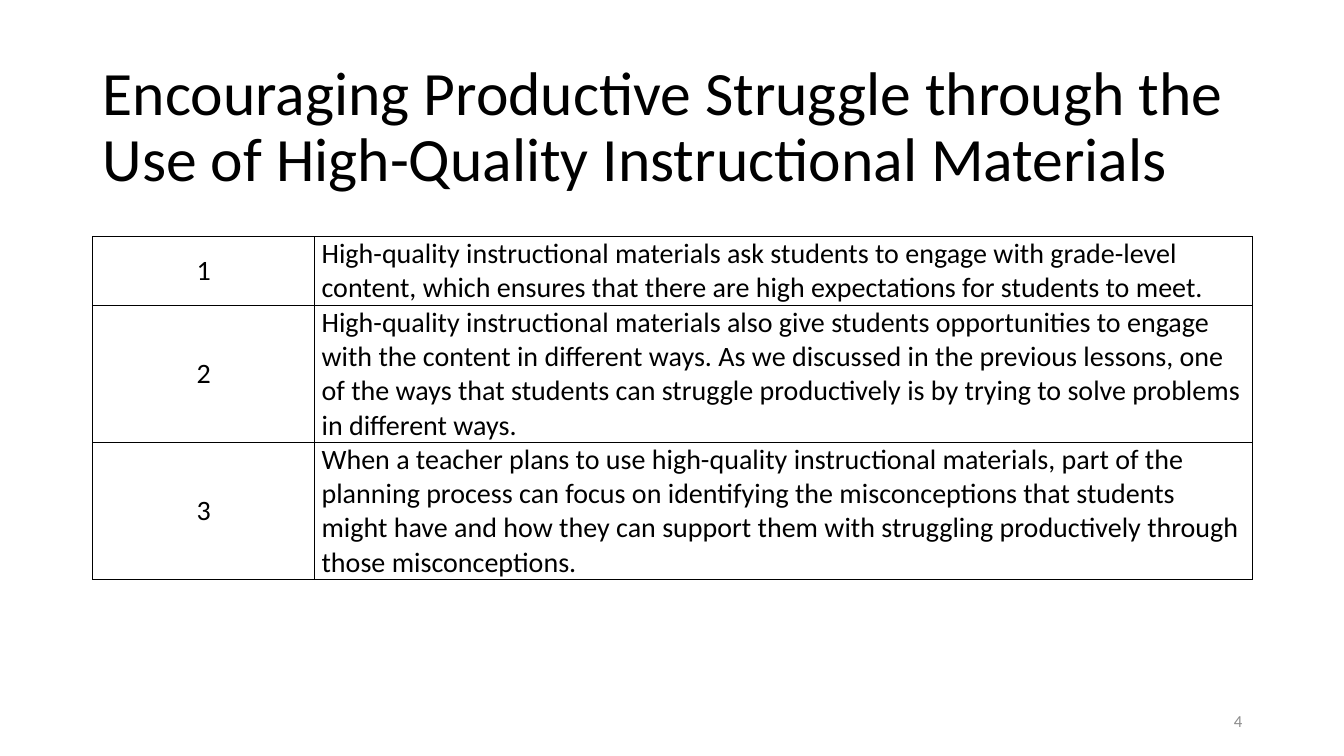
from lxml import etree
from pptx import Presentation
from pptx.dml.color import RGBColor
from pptx.enum import text
from pptx.oxml import ns
from pptx.util import Inches, Pt

COLORS = {"ink": "000000", "page_number": "8C8C8C"}
FONT = "Calibri"
TITLE = "Encouraging Productive Struggle through the Use of High-Quality Instructional Materials"
STATEMENTS = [
    "High-quality instructional materials ask students to engage with grade-level content, "
    "which ensures that there are high expectations for students to meet.",
    "High-quality instructional materials also give students opportunities to engage with the "
    "content in different ways. As we discussed in the previous lessons, one of the ways that "
    "students can struggle productively is by trying to solve problems in different ways.",
    "When a teacher plans to use high-quality instructional materials, part of the planning "
    "process can focus on identifying the misconceptions that students might have and how they "
    "can support them with struggling productively through those misconceptions.",
]
ROW_HEIGHTS = [0.68, 1.36, 1.36]
NUMBER_WIDTH = 2.2


def write_text(frame, content, size, color="ink", align=text.PP_ALIGN.LEFT, line_spacing=1.0):
    frame.word_wrap = True
    paragraph = frame.paragraphs[0]
    paragraph.alignment = align
    paragraph.line_spacing = line_spacing
    paragraph.space_before = Pt(0)
    run = paragraph.add_run()
    run.text = content
    run.font.name = FONT
    run.font.size = Pt(size)
    run.font.color.rgb = RGBColor.from_string(COLORS[color])


def add_title(slide, left, top, width, height):
    title = slide.shapes.title
    title.left, title.top = Inches(left), Inches(top)
    title.width, title.height = Inches(width), Inches(height)
    frame = title.text_frame
    frame.auto_size = text.MSO_AUTO_SIZE.NONE
    frame.vertical_anchor = text.MSO_ANCHOR.MIDDLE
    write_text(frame, TITLE, 44, line_spacing=0.9)


def add_borders(cell):
    properties = cell._tc.get_or_add_tcPr()
    for position, side in enumerate(("lnL", "lnR", "lnT", "lnB")):
        line = etree.Element(ns.qn(f"a:{side}"), w=str(Pt(1)))
        fill = etree.SubElement(line, ns.qn("a:solidFill"))
        etree.SubElement(fill, ns.qn("a:srgbClr"), val=COLORS["ink"])
        properties.insert(position, line)


def format_cell(cell, content, align, anchor):
    cell.fill.background()
    cell.margin_left = cell.margin_right = Inches(0.07)
    cell.margin_top = cell.margin_bottom = 0
    cell.vertical_anchor = anchor
    write_text(cell.text_frame, content, 20, align=align)
    add_borders(cell)


def add_statements(slide, left, top, width):
    table = slide.shapes.add_table(
        len(STATEMENTS), 2, Inches(left), Inches(top), Inches(width), Inches(sum(ROW_HEIGHTS))
    ).table
    table.first_row = table.horz_banding = False
    table.columns[0].width = Inches(NUMBER_WIDTH)
    table.columns[1].width = Inches(width - NUMBER_WIDTH)
    for index, (statement, height) in enumerate(zip(STATEMENTS, ROW_HEIGHTS)):
        table.rows[index].height = Inches(height)
        format_cell(table.cell(index, 0), str(index + 1),
                    text.PP_ALIGN.CENTER, text.MSO_ANCHOR.MIDDLE)
        format_cell(table.cell(index, 1), statement,
                    text.PP_ALIGN.LEFT, text.MSO_ANCHOR.TOP)


def add_page_number(slide, left, top, width, height):
    box = slide.shapes.add_textbox(Inches(left), Inches(top), Inches(width), Inches(height))
    box.text_frame.vertical_anchor = text.MSO_ANCHOR.MIDDLE
    write_text(box.text_frame, "4", 12, color="page_number", align=text.PP_ALIGN.RIGHT)


def main():
    presentation = Presentation()
    presentation.slide_width, presentation.slide_height = Inches(13.33), Inches(7.5)
    slide = presentation.slides.add_slide(presentation.slide_layouts.get_by_name("Title Only"))
    add_title(slide, 0.92, 0.55, 11.5, 1.45)
    add_statements(slide, 0.92, 2.35, 11.5)
    add_page_number(slide, 9.42, 6.95, 3, 0.4)
    presentation.save("out.pptx")


if __name__ == "__main__":
    main()
